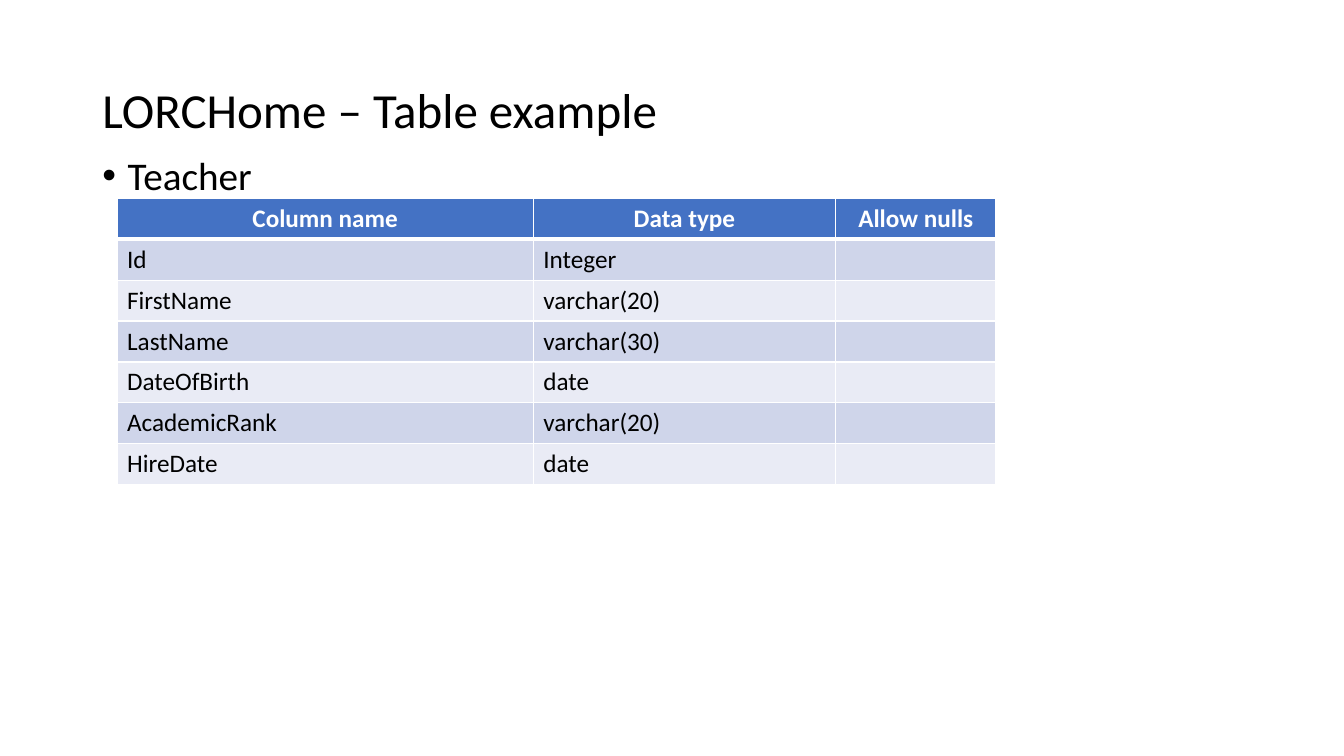
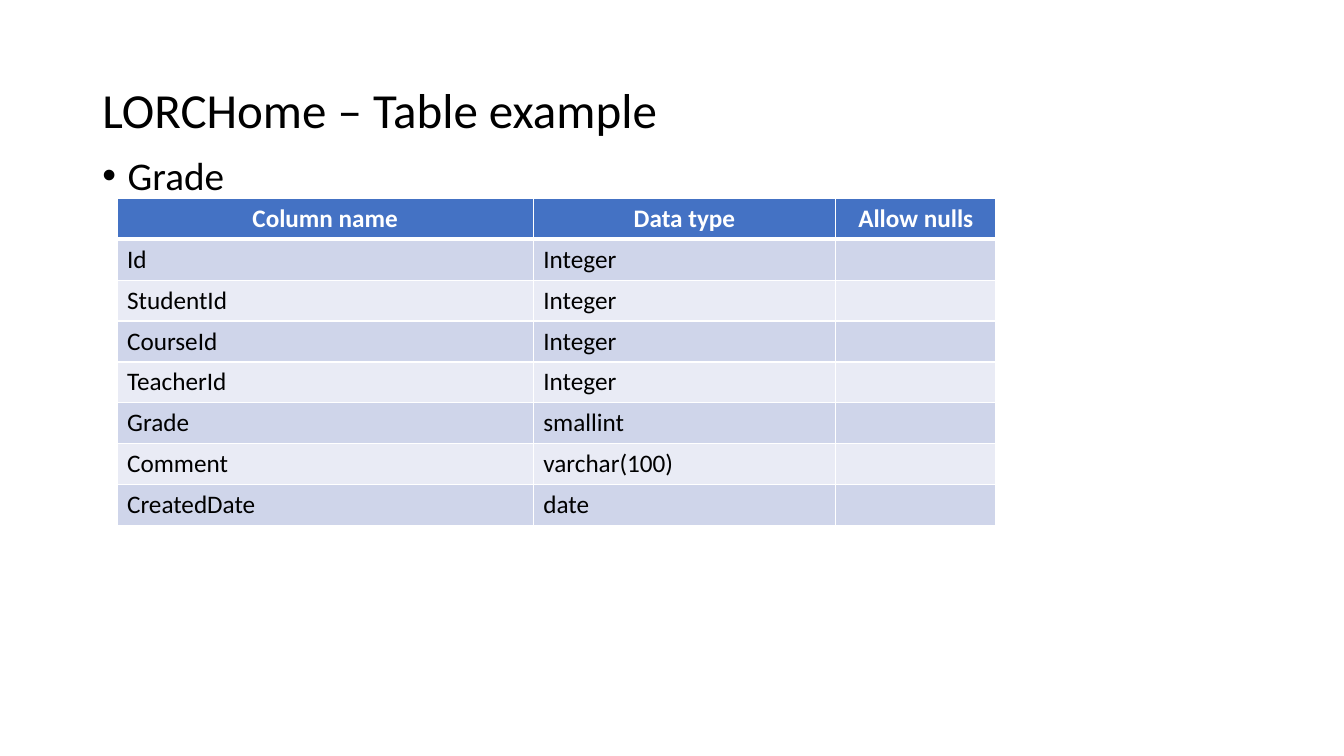
from lxml import etree
from pptx import Presentation
from pptx.dml.color import RGBColor
from pptx.enum.text import MSO_ANCHOR, PP_ALIGN
from pptx.oxml.ns import qn
from pptx.util import Cm, Pt

MIDDLE, TOP = MSO_ANCHOR.MIDDLE, MSO_ANCHOR.TOP
LEFT, CENTER = PP_ALIGN.LEFT, PP_ALIGN.CENTER

TITLE = "LORCHome – Table example"
HEADINGS = ("Column name", "Data type", "Allow nulls")
ENTITIES = {
    "Teacher": [
        ("Id", "Integer", ""),
        ("FirstName", "varchar(20)", ""),
        ("LastName", "varchar(30)", ""),
        ("DateOfBirth", "date", ""),
        ("AcademicRank", "varchar(20)", ""),
        ("HireDate", "date", ""),
    ],
    "Grade": [
        ("Id", "Integer", ""),
        ("StudentId", "Integer", ""),
        ("CourseId", "Integer", ""),
        ("TeacherId", "Integer", ""),
        ("Grade", "smallint", ""),
        ("Comment", "varchar(100)", ""),
        ("CreatedDate", "date", ""),
    ],
}

FONT = "Calibri"
BLACK, WHITE, HEADER_FILL = "000000", "FFFFFF", "4472C4"
BAND_FILLS = ("E9EBF5", "CFD5EA")
TITLE_BOX = (2.33, 1.01, 29.21, 3.68)
BODY_BOX = (2.33, 3.81, 29.21, 12.09)
TABLE_LEFT, TABLE_TOP, ROW_HEIGHT = 2.95, 5, 1.03
COLUMN_WIDTHS = (10.49, 7.62, 4.04)
THIN, THICK = 1, 3


def rgb(value):
    return RGBColor.from_string(value)


def add_run(paragraph, text, size, color=BLACK, bold=False):
    run = paragraph.add_run()
    run.text = text
    run.font.name, run.font.size = FONT, Pt(size)
    run.font.bold, run.font.color.rgb = bold, rgb(color)


def add_line(slide, box, text, size, anchor):
    frame = slide.shapes.add_textbox(*map(Cm, box)).text_frame
    frame.word_wrap, frame.vertical_anchor = True, anchor
    paragraph = frame.paragraphs[0]
    paragraph.line_spacing = 0.9
    add_run(paragraph, text, size)
    return paragraph


def add_bullet(paragraph):
    paragraph.space_before = Pt(10)
    properties = paragraph._p.get_or_add_pPr()
    indent = Cm(0.64)
    properties.set("marL", str(indent))
    properties.set("indent", str(-indent))
    etree.SubElement(properties, qn("a:buFont"), typeface="Arial")
    etree.SubElement(properties, qn("a:buChar"), char="•")


def add_borders(cell, top, bottom):
    properties = cell._tc.get_or_add_tcPr()
    for side, width in (("L", THIN), ("R", THIN), ("T", top), ("B", bottom)):
        border = etree.SubElement(properties, qn(f"a:ln{side}"), w=str(Pt(width)))
        fill = etree.SubElement(border, qn("a:solidFill"))
        etree.SubElement(fill, qn("a:srgbClr"), val=WHITE)


def fill_cell(cell, text, row):
    header = row == 0
    add_borders(cell, THICK if row == 1 else THIN, THICK if header else THIN)
    cell.fill.solid()
    cell.fill.fore_color.rgb = rgb(HEADER_FILL if header else BAND_FILLS[row % 2])
    paragraph = cell.text_frame.paragraphs[0]
    paragraph.alignment = CENTER if header else LEFT
    if text:
        add_run(paragraph, text, 18, WHITE if header else BLACK, header)


def add_column_table(slide, fields):
    rows = [HEADINGS, *fields]
    table = slide.shapes.add_table(
        len(rows), len(HEADINGS), Cm(TABLE_LEFT), Cm(TABLE_TOP),
        Cm(sum(COLUMN_WIDTHS)), Cm(ROW_HEIGHT * len(rows))).table
    for column, width in zip(table.columns, COLUMN_WIDTHS):
        column.width = Cm(width)
    for row, texts in enumerate(rows):
        table.rows[row].height = Cm(ROW_HEIGHT)
        for column, text in enumerate(texts):
            fill_cell(table.cell(row, column), text, row)


def main():
    """Build one slide for each database table."""
    deck = Presentation()
    deck.slide_width, deck.slide_height = Cm(33.87), Cm(19.05)
    for entity, fields in ENTITIES.items():
        slide = deck.slides.add_slide(deck.slide_layouts[6])
        add_line(slide, TITLE_BOX, TITLE, 35, MIDDLE)
        add_bullet(add_line(slide, BODY_BOX, entity, 28, TOP))
        add_column_table(slide, fields)
    deck.save("out.pptx")


if __name__ == "__main__":
    main()
